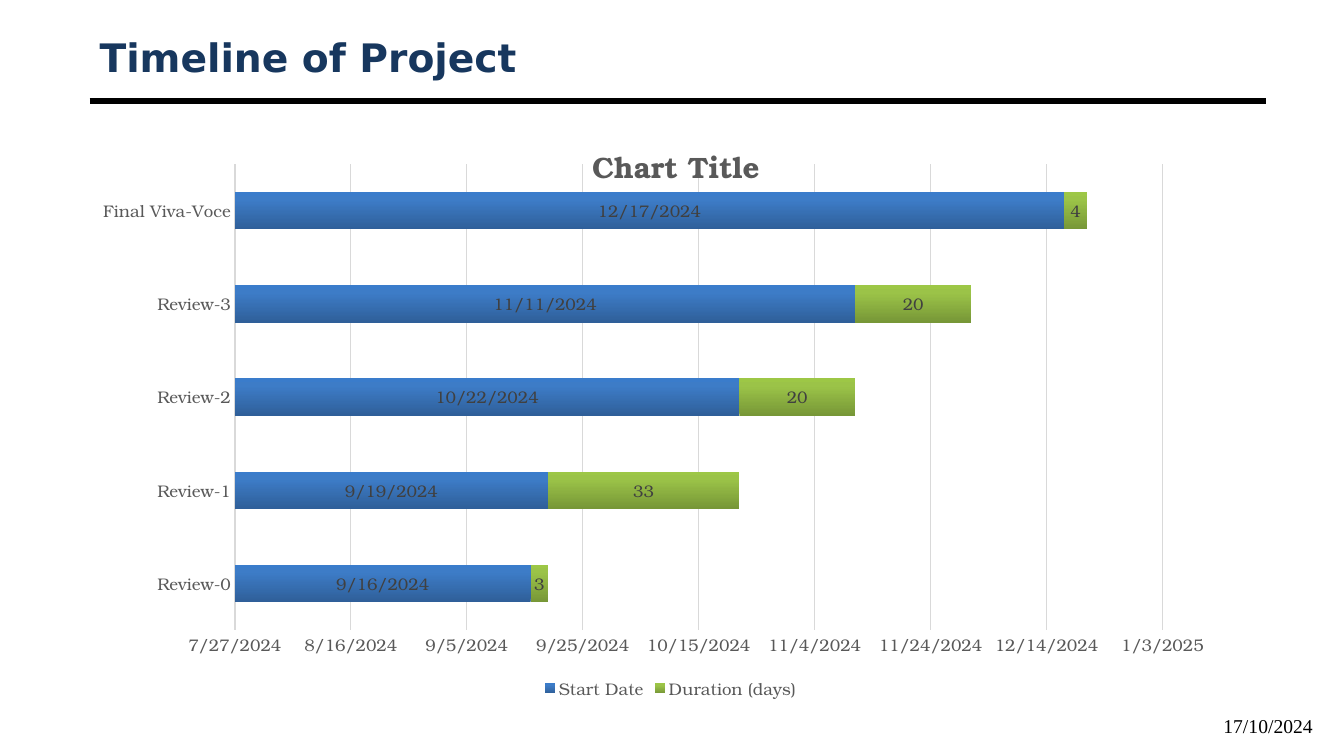
from copy import deepcopy

from pptx import Presentation
from pptx.chart.data import CategoryChartData
from pptx.dml.color import RGBColor
from pptx.enum import chart as charts, shapes, text
from pptx.oxml import parse_xml
from pptx.oxml.ns import nsdecls
from pptx.util import Inches, Pt

CHART_FONT = "TeX Gyre Bonum"
GREY = "595959"
GRID = "D9D9D9"
DATE_FORMAT = "m/d/yyyy"
AXIS_START, AXIS_END, AXIS_STEP = 45500, 45660, 20  # days, 7/27/2024 to 1/3/2025

START_DATES = {
    "Review-0": 45551,
    "Review-1": 45554,
    "Review-2": 45587,
    "Review-3": 45607,
    "Final Viva-Voce": 45643,
}
DURATIONS = [3, 33, 20, 20, 4]
GRADIENT_POSITIONS = (0, 0.8, 1)
START_COLORS = ("2F5F99", "3D7CC7", "3A7CCB")
DURATION_COLORS = ("779737", "9BC348", "9DC746")


def rgb(value):
    return RGBColor.from_string(value)


def style_font(font, name, size, color, bold=False):
    font.name = name
    font.size = Pt(size)
    font.color.rgb = rgb(color)
    font.bold = bold


def add_text(slide, box, content, align, anchor, **font):
    left, top, width, height = box
    shape = slide.shapes.add_textbox(Inches(left), Inches(top), Inches(width), Inches(height))
    frame = shape.text_frame
    frame.word_wrap = True
    frame.vertical_anchor = anchor
    frame.text = content
    paragraph = frame.paragraphs[0]
    paragraph.alignment = align
    style_font(paragraph.runs[0].font, **font)


def add_header(slide, box):
    """Slide title with a thick rule below it."""
    left, top, width, height = box
    rule_top = Inches(top + height)
    rule = slide.shapes.add_connector(
        shapes.MSO_CONNECTOR.STRAIGHT, Inches(left), rule_top, Inches(left + width), rule_top)
    rule.line.color.rgb = rgb("000000")
    rule.line.width = Pt(4.5)
    rule._element.spPr.append(parse_xml(f"<a:effectLst {nsdecls('a')}/>"))
    add_text(slide, (left, top, width, 0.53), "Timeline of Project",
             text.PP_ALIGN.LEFT, text.MSO_ANCHOR.MIDDLE,
             name="DejaVu Sans", size=28, color="17375E", bold=True)


def set_layout(element, index, fractions, inner=False):
    """Place a chart part by fractions of the chart: x, y and optionally w, h."""
    for old in element.xpath("c:layout"):
        element.remove(old)
    target = '<c:layoutTarget val="inner"/>' if inner else ""
    keys = "xywh"[:len(fractions)]
    modes = "".join(f'<c:{key}Mode val="edge"/>' for key in keys[:2])
    values = "".join(f'<c:{key} val="{value:.4f}"/>' for key, value in zip(keys, fractions))
    element.insert(index, parse_xml(
        f"<c:layout {nsdecls('c')}><c:manualLayout>{target}{modes}{values}"
        "</c:manualLayout></c:layout>"))


def style_series(chart, series, colors, number_format):
    fill = series.format.fill
    fill.gradient()
    fill.gradient_angle = 90
    stop_list = chart.element.xpath(".//c:ser/c:spPr/a:gradFill/a:gsLst")[-1]
    stop_list.append(deepcopy(stop_list[0]))
    for stop, position, color in zip(fill.gradient_stops, GRADIENT_POSITIONS, colors):
        stop.position = position
        stop.color.rgb = rgb(color)
    labels = series.data_labels
    labels.show_value = True
    labels.position = charts.XL_LABEL_POSITION.CENTER
    labels.number_format = number_format
    labels.number_format_is_linked = False
    style_font(labels.font, CHART_FONT, 12, "404040")


def style_axes(chart):
    dates, stages = chart.value_axis, chart.category_axis
    for axis in (dates, stages):
        axis.major_tick_mark = axis.minor_tick_mark = charts.XL_TICK_MARK.NONE
        style_font(axis.tick_labels.font, CHART_FONT, 12, GREY)
    stages.format.line.color.rgb = rgb(GRID)
    stages.format.line.width = Pt(1)
    dates.format.line.fill.background()
    dates.minimum_scale, dates.maximum_scale = AXIS_START, AXIS_END
    dates.major_unit = AXIS_STEP
    dates.tick_labels.number_format = DATE_FORMAT
    dates.tick_labels.number_format_is_linked = False
    grid_line = dates.major_gridlines.format.line
    grid_line.color.rgb = rgb(GRID)
    grid_line.width = Pt(0.75)


def add_timeline(slide, box):
    left, top, width, height = box
    data = CategoryChartData()
    data.categories = list(START_DATES)
    data.add_series("Start Date", START_DATES.values(), DATE_FORMAT)
    data.add_series("Duration (days)", DURATIONS)
    chart = slide.shapes.add_chart(
        charts.XL_CHART_TYPE.BAR_STACKED, Inches(left), Inches(top),
        Inches(width), Inches(height), data).chart
    style_font(chart.font, CHART_FONT, 10, "000000")

    title = chart.chart_title
    title.text_frame.text = "Chart Title"
    style_font(title.text_frame.paragraphs[0].runs[0].font, CHART_FONT, 21, GREY, bold=True)
    set_layout(title.element, 1, (4.93 / width, 0.3 / height))
    plot_area = chart.element.xpath(".//c:plotArea")[0]
    set_layout(plot_area, 0,
               (1.44 / width, 0.58 / height, 9.2 / width, 4.62 / height), inner=True)

    plot = chart.plots[0]
    plot.gap_width = 150
    plot.overlap = 100
    plot.vary_by_categories = False
    for series, colors, number_format in zip(
            plot.series, (START_COLORS, DURATION_COLORS), (DATE_FORMAT, "General")):
        style_series(chart, series, colors, number_format)
    style_axes(chart)

    chart.has_legend = True
    chart.legend.position = charts.XL_LEGEND_POSITION.BOTTOM
    chart.legend.include_in_layout = False
    style_font(chart.legend.font, CHART_FONT, 12, GREY)


def main():
    presentation = Presentation()
    presentation.slide_width = Inches(13.33)
    presentation.slide_height = Inches(7.5)
    slide = presentation.slides.add_slide(presentation.slide_layouts[6])
    add_header(slide, (0.89, 0.3, 11.67, 0.7))
    add_text(slide, (10.01, 7, 3.11, 0.4), "17/10/2024",
             text.PP_ALIGN.RIGHT, text.MSO_ANCHOR.MIDDLE,
             name="Times New Roman", size=14, color="000000")
    add_timeline(slide, (0.89, 1.05, 11.52, 5.93))
    presentation.save("out.pptx")


if __name__ == "__main__":
    main()
